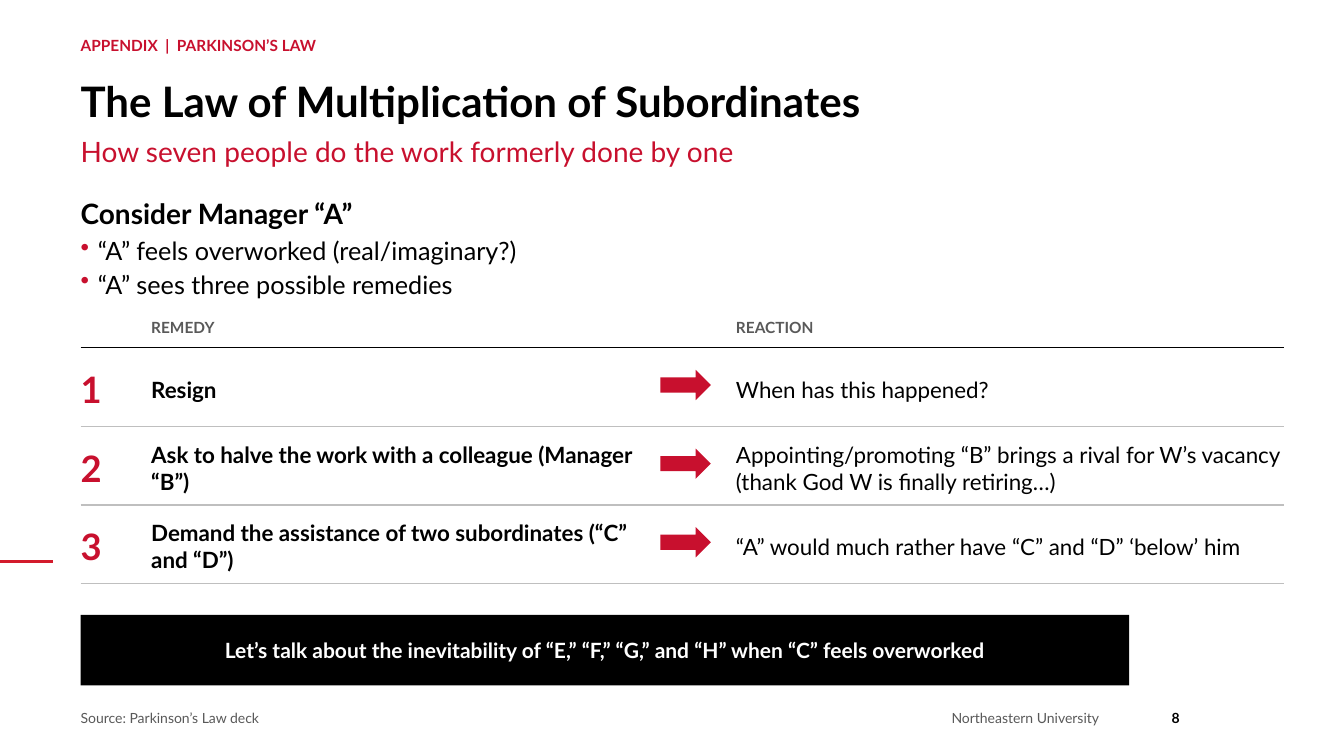
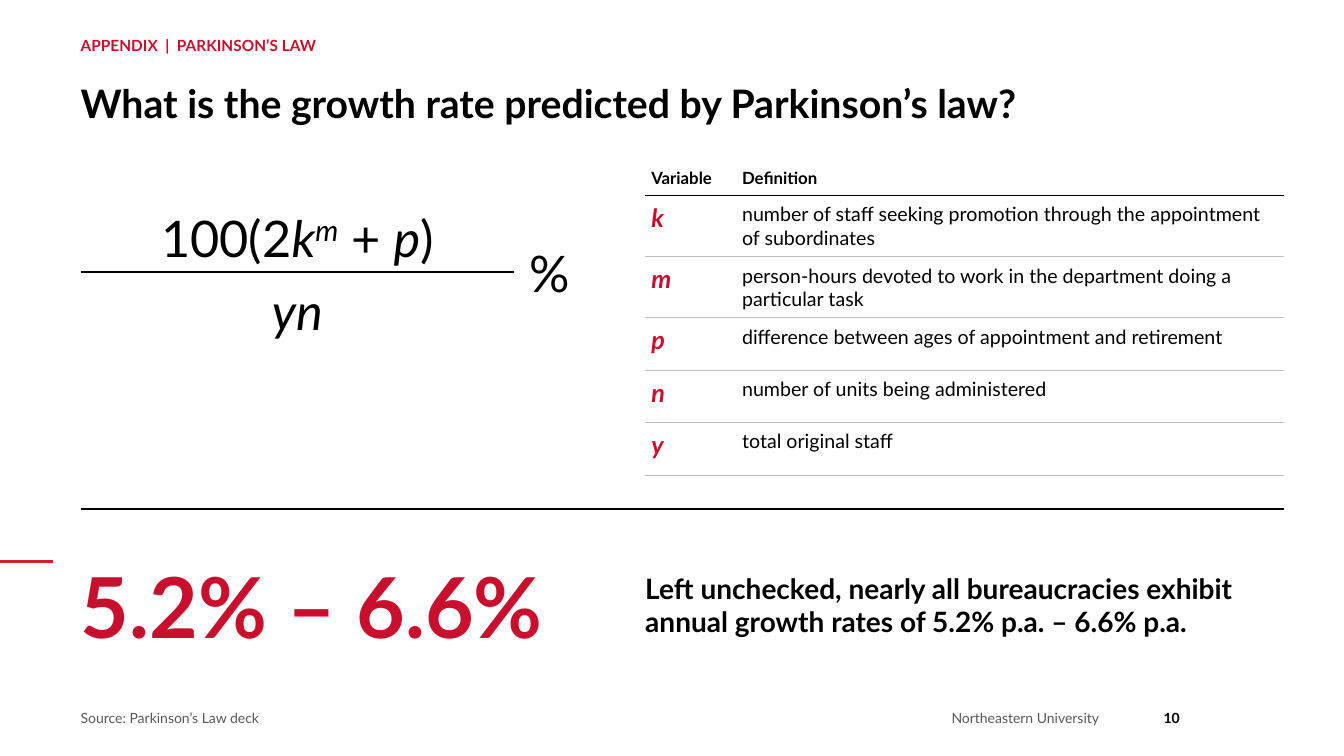
"""Build two appendix slides on Parkinson's law."""
from dataclasses import dataclass
from typing import NamedTuple

import lxml.etree
import pptx
import pptx.dml.color
import pptx.enum.shapes
import pptx.enum.text
import pptx.oxml.ns
import pptx.shapes.autoshape
import pptx.slide
import pptx.table
import pptx.text.text
import pptx.util

Inches = pptx.util.Inches
RGBColor = pptx.dml.color.RGBColor
Align = pptx.enum.text.PP_ALIGN
Anchor = pptx.enum.text.MSO_ANCHOR
qn = pptx.oxml.ns.qn

BLACK = RGBColor(0x00, 0x00, 0x00)
WHITE = RGBColor(0xFF, 0xFF, 0xFF)
RED = RGBColor(0xC8, 0x10, 0x2E)
MARK_RED = RGBColor(0xD3, 0x1B, 0x2C)
GRAY = RGBColor(0x59, 0x59, 0x59)
RULE_GRAY = RGBColor(0xBF, 0xBF, 0xBF)

FONT = "Lato"
LEFT, RIGHT = 0.8, 12.73
CONTENT_WIDTH = RIGHT - LEFT
PLAIN_TABLE_STYLE = "{2D5ABB26-0587-4C30-8999-92F81FD0307C}"


class Box(NamedTuple):
    """Position and size in inches."""

    left: float
    top: float
    width: float
    height: float

    def lengths(self) -> list[pptx.util.Length]:
        """Return the four values as lengths."""
        return [Inches(value) for value in self]


@dataclass(frozen=True)
class TextStyle:
    """Character formatting of a run."""

    size: float
    color: RGBColor = BLACK
    bold: bool = False
    italic: bool = False


@dataclass(frozen=True)
class Remedy:
    """A remedy and the reaction to it."""

    action: str
    reaction: str


@dataclass(frozen=True)
class Variable:
    """A symbol in the formula and its meaning."""

    symbol: str
    definition: str


@dataclass(frozen=True)
class FormulaPart:
    """A piece of the formula's numerator."""

    text: str
    italic: bool = False
    superscript: bool = False


LABEL = TextStyle(11, RED, bold=True)
COLUMN_HEADING = TextStyle(11, GRAY, bold=True)
SUBTITLE = TextStyle(20, RED)
STATEMENT = TextStyle(20, bold=True)
BULLET = TextStyle(18)
NUMBER = TextStyle(26, RED, bold=True)
ACTION = TextStyle(16, bold=True)
REACTION = TextStyle(16)
BANNER = TextStyle(15, WHITE, bold=True)
FOOTER = TextStyle(10, GRAY)
PAGE_NUMBER = TextStyle(10, bold=True)
FORMULA = TextStyle(36)
FORMULA_ITALIC = TextStyle(36, italic=True)
TABLE_HEADING = TextStyle(12, bold=True)
SYMBOL = TextStyle(18, RED, bold=True, italic=True)
DEFINITION = TextStyle(14)
BIG_RESULT = TextStyle(60, RED, bold=True)

REMEDIES = [
    Remedy("Resign", "When has this happened?"),
    Remedy(
        "Ask to halve the work with a colleague (Manager “B”)",
        "Appointing/promoting “B” brings a rival for W’s vacancy (thank God W is finally retiring…)",
    ),
    Remedy(
        "Demand the assistance of two subordinates (“C” and “D”)",
        "“A” would much rather have “C” and “D” ‘below’ him",
    ),
]
VARIABLES = [
    Variable("k", "number of staff seeking promotion through the appointment of subordinates"),
    Variable("m", "person-hours devoted to work in the department doing a particular task"),
    Variable("p", "difference between ages of appointment and retirement"),
    Variable("n", "number of units being administered"),
    Variable("y", "total original staff"),
]
NUMERATOR = [
    FormulaPart("100(2"),
    FormulaPart("k", italic=True),
    FormulaPart("m", italic=True, superscript=True),
    FormulaPart(" + "),
    FormulaPart("p", italic=True),
    FormulaPart(")"),
]


def format_run(run: pptx.text.text._Run, style: TextStyle) -> None:
    """Apply a style to a run."""
    run.font.name = FONT
    run.font.size = pptx.util.Pt(style.size)
    run.font.bold = style.bold
    run.font.italic = style.italic
    run.font.color.rgb = style.color


def format_paragraph(paragraph: pptx.text.text._Paragraph, style: TextStyle) -> None:
    """Apply a style to every run of a paragraph."""
    for run in paragraph.runs:
        format_run(run, style)


def add_text(
    slide: pptx.slide.Slide,
    box: Box,
    text: str,
    style: TextStyle,
    anchor: Anchor = Anchor.MIDDLE,
    align: Align = Align.LEFT,
) -> pptx.text.text.TextFrame:
    """Add a wrapped text box without margins."""
    frame = slide.shapes.add_textbox(*box.lengths()).text_frame
    frame.word_wrap = True
    frame.margin_left = frame.margin_top = frame.margin_right = frame.margin_bottom = 0
    frame.vertical_anchor = anchor
    frame.text = text
    for paragraph in frame.paragraphs:
        paragraph.alignment = align
        format_paragraph(paragraph, style)
    return frame


def add_rule(
    slide: pptx.slide.Slide, left: float, right: float, y: float, color: RGBColor, width: float
) -> None:
    """Add a horizontal line."""
    line = slide.shapes.add_connector(
        pptx.enum.shapes.MSO_CONNECTOR.STRAIGHT, Inches(left), Inches(y), Inches(right), Inches(y)
    )
    line.line.color.rgb = color
    line.line.width = pptx.util.Pt(width)
    lxml.etree.SubElement(line._element.spPr, qn("a:effectLst"))


def add_filled_shape(
    slide: pptx.slide.Slide, kind: pptx.enum.shapes.MSO_SHAPE, box: Box, color: RGBColor
) -> pptx.shapes.autoshape.Shape:
    """Add a solid shape without outline or shadow."""
    shape = slide.shapes.add_shape(kind, *box.lengths())
    shape.shadow.inherit = False
    shape.fill.solid()
    shape.fill.fore_color.rgb = color
    shape.line.fill.background()
    return shape


def add_bullet(paragraph: pptx.text.text._Paragraph) -> None:
    """Give a paragraph a red bullet and a hanging indent."""
    properties = paragraph._p.get_or_add_pPr()
    indent = Inches(0.17)
    properties.set("marL", str(indent))
    properties.set("indent", str(-indent))
    bullet_color = lxml.etree.SubElement(properties, qn("a:buClr"))
    lxml.etree.SubElement(bullet_color, qn("a:srgbClr"), val=str(RED))
    lxml.etree.SubElement(properties, qn("a:buChar"), char="•")


def add_framed_slide(
    presentation: pptx.presentation.Presentation, title: str, title_size: float, number: int
) -> pptx.slide.Slide:
    """Add a slide with the shared edge mark, headings and footer."""
    slide = presentation.slides.add_slide(presentation.slide_layouts[6])
    add_rule(slide, 0, 0.53, 5.57, MARK_RED, 2)
    title_style = TextStyle(title_size, bold=True)
    title_frame = add_text(slide, Box(LEFT, 0.58, CONTENT_WIDTH, 0.68), title, title_style, Anchor.BOTTOM)
    title_frame.paragraphs[0].line_spacing = 0.9
    add_text(slide, Box(LEFT, 0.32, 8, 0.25), "APPENDIX  |  PARKINSON’S LAW", LABEL)
    add_text(slide, Box(LEFT, 7, 6.5, 0.24), "Source: Parkinson’s Law deck", FOOTER)
    add_text(slide, Box(7.3, 7, 3.6, 0.24), "Northeastern University", FOOTER, align=Align.RIGHT)
    add_text(slide, Box(11.15, 7, 0.55, 0.24), str(number), PAGE_NUMBER, align=Align.RIGHT)
    return slide


def add_remedies(slide: pptx.slide.Slide) -> None:
    """Add the numbered rows of remedies and reactions."""
    action_left, action_width = 1.5, 4.9
    reaction_left, reaction_width = 7.3, 5.6
    add_text(slide, Box(action_left, 3.1, action_width, 0.3), "REMEDY", COLUMN_HEADING)
    add_text(slide, Box(reaction_left, 3.1, reaction_width, 0.3), "REACTION", COLUMN_HEADING)
    add_rule(slide, LEFT, RIGHT, 3.45, BLACK, 1)
    for index, remedy in enumerate(REMEDIES):
        top, height = 3.53 + 0.78 * index, 0.66
        add_text(slide, Box(LEFT, top, 0.6, height), str(index + 1), NUMBER)
        add_text(slide, Box(action_left, top, action_width, height), remedy.action, ACTION)
        arrow_box = Box(6.55, top + 0.14, 0.5, 0.3)
        add_filled_shape(slide, pptx.enum.shapes.MSO_SHAPE.RIGHT_ARROW, arrow_box, RED)
        add_text(slide, Box(reaction_left, top, reaction_width, height), remedy.reaction, REACTION)
        add_rule(slide, LEFT, RIGHT, top + 0.7, RULE_GRAY, 0.75)


def build_subordinates_slide(presentation: pptx.presentation.Presentation) -> None:
    """Build the slide on the multiplication of subordinates."""
    slide = add_framed_slide(presentation, "The Law of Multiplication of Subordinates", 30, 8)
    subtitle = "How seven people do the work formerly done by one"
    add_text(slide, Box(LEFT, 1.3, CONTENT_WIDTH, 0.4), subtitle, SUBTITLE)
    premise = "Consider Manager “A”\n“A” feels overworked (real/imaginary?)\n“A” sees three possible remedies"
    frame = add_text(slide, Box(LEFT, 1.95, CONTENT_WIDTH, 1.05), premise, STATEMENT, Anchor.TOP)
    for paragraph, space in zip(frame.paragraphs[1:], (4, 2)):
        add_bullet(paragraph)
        paragraph.space_before = pptx.util.Pt(space)
        format_paragraph(paragraph, BULLET)
    add_remedies(slide)
    banner = add_filled_shape(slide, pptx.enum.shapes.MSO_SHAPE.RECTANGLE, Box(LEFT, 6.1, 10.4, 0.7), BLACK)
    banner.text_frame.word_wrap = True
    banner.text_frame.vertical_anchor = Anchor.MIDDLE
    banner.text_frame.margin_left = banner.text_frame.margin_right = Inches(0.15)
    banner.text_frame.text = "Let’s talk about the inevitability of “E,” “F,” “G,” and “H” when “C” feels overworked"
    banner.text_frame.paragraphs[0].alignment = Align.CENTER
    format_paragraph(banner.text_frame.paragraphs[0], BANNER)


def fill_cell(
    cell: pptx.table._Cell, text: str, style: TextStyle, anchor: Anchor, color: RGBColor, width: float
) -> None:
    """Write a table cell and draw its bottom border."""
    cell.text = text
    cell.vertical_anchor = anchor
    cell.margin_left, cell.margin_right = Inches(0.06), Inches(0.1)
    cell.margin_top = cell.margin_bottom = Inches(0.07)
    cell.fill.background()
    format_paragraph(cell.text_frame.paragraphs[0], style)
    border = lxml.etree.Element(qn("a:lnB"), w=str(pptx.util.Pt(width)))
    border_fill = lxml.etree.SubElement(border, qn("a:solidFill"))
    lxml.etree.SubElement(border_fill, qn("a:srgbClr"), val=str(color))
    cell._tc.get_or_add_tcPr().insert(0, border)


def add_variables_table(slide: pptx.slide.Slide) -> None:
    """Add the table that defines the variables."""
    row_count = len(VARIABLES) + 1
    table = slide.shapes.add_table(row_count, 2, *Box(6.4, 1.6, 6.33, 2.94).lengths()).table
    table.first_row = table.horz_banding = False
    table._tbl.tblPr.find(qn("a:tableStyleId")).text = PLAIN_TABLE_STYLE
    for column, width in zip(table.columns, (0.9, 5.43)):
        column.width = Inches(width)
    for index, row in enumerate(table.rows):
        row.height = Inches(0.52 if index else 0.34)
    for column, heading in enumerate(("Variable", "Definition")):
        fill_cell(table.cell(0, column), heading, TABLE_HEADING, Anchor.BOTTOM, BLACK, 1.5)
    for row, variable in enumerate(VARIABLES, start=1):
        fill_cell(table.cell(row, 0), variable.symbol, SYMBOL, Anchor.TOP, RULE_GRAY, 0.75)
        fill_cell(table.cell(row, 1), variable.definition, DEFINITION, Anchor.TOP, RULE_GRAY, 0.75)


def add_formula(slide: pptx.slide.Slide) -> None:
    """Add the growth rate formula as a fraction."""
    width = 4.3
    frame = add_text(slide, Box(LEFT, 1.85, width, 0.8), "", FORMULA, Anchor.BOTTOM, Align.CENTER)
    for part in NUMERATOR:
        run = frame.paragraphs[0].add_run()
        run.text = part.text
        format_run(run, FORMULA_ITALIC if part.italic else FORMULA)
        if part.superscript:
            run._r.get_or_add_rPr().set("baseline", "30000")
    add_rule(slide, LEFT, LEFT + width, 2.7, BLACK, 1.75)
    add_text(slide, Box(LEFT, 2.78, width, 0.8), "yn", FORMULA_ITALIC, Anchor.TOP, Align.CENTER)
    add_text(slide, Box(5.25, 2.35, 0.8, 0.7), "%", FORMULA)


def build_growth_slide(presentation: pptx.presentation.Presentation) -> None:
    """Build the slide on the predicted growth rate."""
    slide = add_framed_slide(presentation, "What is the growth rate predicted by Parkinson’s law?", 28, 10)
    add_formula(slide)
    add_variables_table(slide)
    add_rule(slide, LEFT, RIGHT, 5.05, BLACK, 1)
    add_text(slide, Box(LEFT, 5.25, 5.6, 1.5), "5.2% – 6.6%", BIG_RESULT)
    conclusion = "Left unchecked, nearly all bureaucracies exhibit annual growth rates of 5.2% p.a. – 6.6% p.a."
    add_text(slide, Box(6.4, 5.25, 6.33, 1.5), conclusion, STATEMENT)


def main() -> None:
    """Build and save the presentation."""
    presentation = pptx.Presentation()
    presentation.slide_width, presentation.slide_height = Inches(13.33), Inches(7.5)
    build_subordinates_slide(presentation)
    build_growth_slide(presentation)
    presentation.save("out.pptx")


if __name__ == "__main__":
    main()
